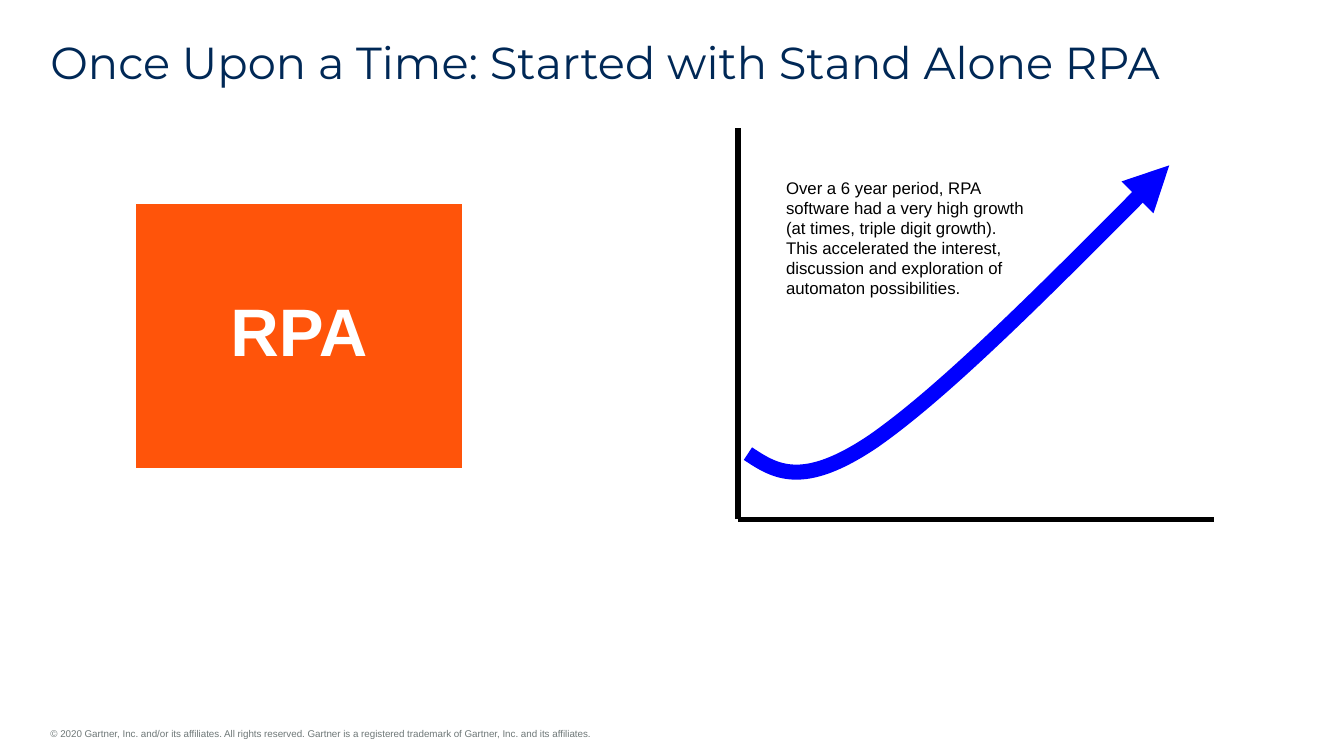
from lxml import etree
from pptx import Presentation
from pptx.dml.color import RGBColor
from pptx.enum.shapes import MSO_CONNECTOR, MSO_SHAPE
from pptx.enum.text import MSO_ANCHOR, PP_ALIGN
from pptx.oxml.ns import qn
from pptx.util import Pt

RECTANGLE = MSO_SHAPE.RECTANGLE
STRAIGHT = MSO_CONNECTOR.STRAIGHT
TOP, MIDDLE, BOTTOM = MSO_ANCHOR.TOP, MSO_ANCHOR.MIDDLE, MSO_ANCHOR.BOTTOM
LEFT, CENTER = PP_ALIGN.LEFT, PP_ALIGN.CENTER

COLORS = {
    "navy": "002856",
    "orange": "FF540A",
    "blue": "0000FF",
    "black": "000000",
    "white": "FFFFFF",
    "gray": "6F7878",
}
BODY_FONT, TITLE_FONT = "Arial", "Montserrat"


class SlideBuilder:
    """Adds styled elements to one slide; all lengths are in points."""

    def __init__(self, slide):
        self.shapes = slide.shapes

    def color(self, name):
        return RGBColor.from_string(COLORS[name])

    def set_text(self, shape, text, size, color, font=BODY_FONT, bold=False,
                 align=LEFT, anchor=TOP, spacing=1.0, insets=(0, 0)):
        frame = shape.text_frame
        frame.word_wrap = True
        frame.vertical_anchor = anchor
        frame.margin_left = frame.margin_right = Pt(insets[0])
        frame.margin_top = frame.margin_bottom = Pt(insets[1])
        paragraph = frame.paragraphs[0]
        paragraph.text = text
        paragraph.alignment = align
        paragraph.line_spacing = spacing
        paragraph.font.name = font
        paragraph.font.size = Pt(size)
        paragraph.font.bold = bold
        paragraph.font.color.rgb = self.color(color)

    def stroke(self, shape, color, width):
        shape.line.color.rgb = self.color(color)
        shape.line.width = Pt(width)

    def text(self, box, text, size, color, **style):
        self.set_text(self.shapes.add_textbox(*map(Pt, box)), text, size, color, **style)

    def block(self, box, fill, text, size, color, **style):
        block = self.shapes.add_shape(RECTANGLE, *map(Pt, box))
        block.shadow.inherit = False
        block.fill.solid()
        block.fill.fore_color.rgb = self.color(fill)
        self.stroke(block, "white", 2)
        self.set_text(block, text, size, color, **style)

    def axis(self, start, end):
        axis = self.shapes.add_connector(STRAIGHT, *map(Pt, start + end))
        self.stroke(axis, "black", 4)
        etree.SubElement(axis._element.spPr, qn("a:effectLst"))

    def curved_arrow(self, points, color, width):
        """Points: the start, then two controls and an end for each Bézier segment."""
        start, *rest = [(Pt(x), Pt(y)) for x, y in points]
        builder = self.shapes.build_freeform(*start)
        builder.add_line_segments(rest, close=False)
        arrow = builder.convert_to_shape()
        arrow.shadow.inherit = False
        arrow.fill.background()
        self.stroke(arrow, color, width)

        # Turn each three straight segments into one Bézier segment
        segments = list(arrow._element.iter(qn("a:lnTo")))
        outline = segments[0].getparent()
        for first in range(0, len(segments), 3):
            bezier = etree.SubElement(outline, qn("a:cubicBezTo"))
            for segment in segments[first:first + 3]:
                bezier.append(segment[0])
                outline.remove(segment)

        line_xml = arrow._element.spPr.find(qn("a:ln"))
        etree.SubElement(line_xml, qn("a:tailEnd"), type="triangle")


def main():
    deck = Presentation()
    deck.slide_width, deck.slide_height = Pt(960), Pt(540)
    page = SlideBuilder(deck.slides.add_slide(deck.slide_layouts[6]))

    # Footer and title
    page.text((36, 519.84, 565.2, 8.64),
              "© 2020 Gartner, Inc. and/or its affiliates. All rights reserved. "
              "Gartner is a registered trademark of Gartner, Inc. and its affiliates.",
              7, "gray", anchor=BOTTOM)
    page.text((36, 28.8, 888, 34.56),
              "Once Upon a Time: Started with Stand Alone RPA",
              32, "navy", font=TITLE_FONT, spacing=0.9)

    # RPA block
    page.block((96, 145, 235, 190), "orange", "RPA", 48, "white",
               bold=True, align=CENTER, anchor=MIDDLE, spacing=0.85)

    # Growth curve
    page.curved_arrow([(534.24, 324),
                       (553.68, 336.96), (573.12, 349.2), (623.52, 315.36),
                       (673.2, 280.8), (754.56, 199.44), (835.2, 118.08)],
                      "blue", 10.75)

    # Axes
    origin = (527, 371)
    page.axis(origin, (527, 91.5))
    page.axis(origin, (867, 371))

    # Growth note
    page.text((554.4, 123.12, 188, 94.3),
              "Over a 6 year period, RPA software had a very high growth "
              "(at times, triple digit growth). This accelerated the interest, "
              "discussion and exploration of automaton possibilities.",
              12, "black", insets=(7.2, 3.6))

    deck.save("out.pptx")


if __name__ == "__main__":
    main()
